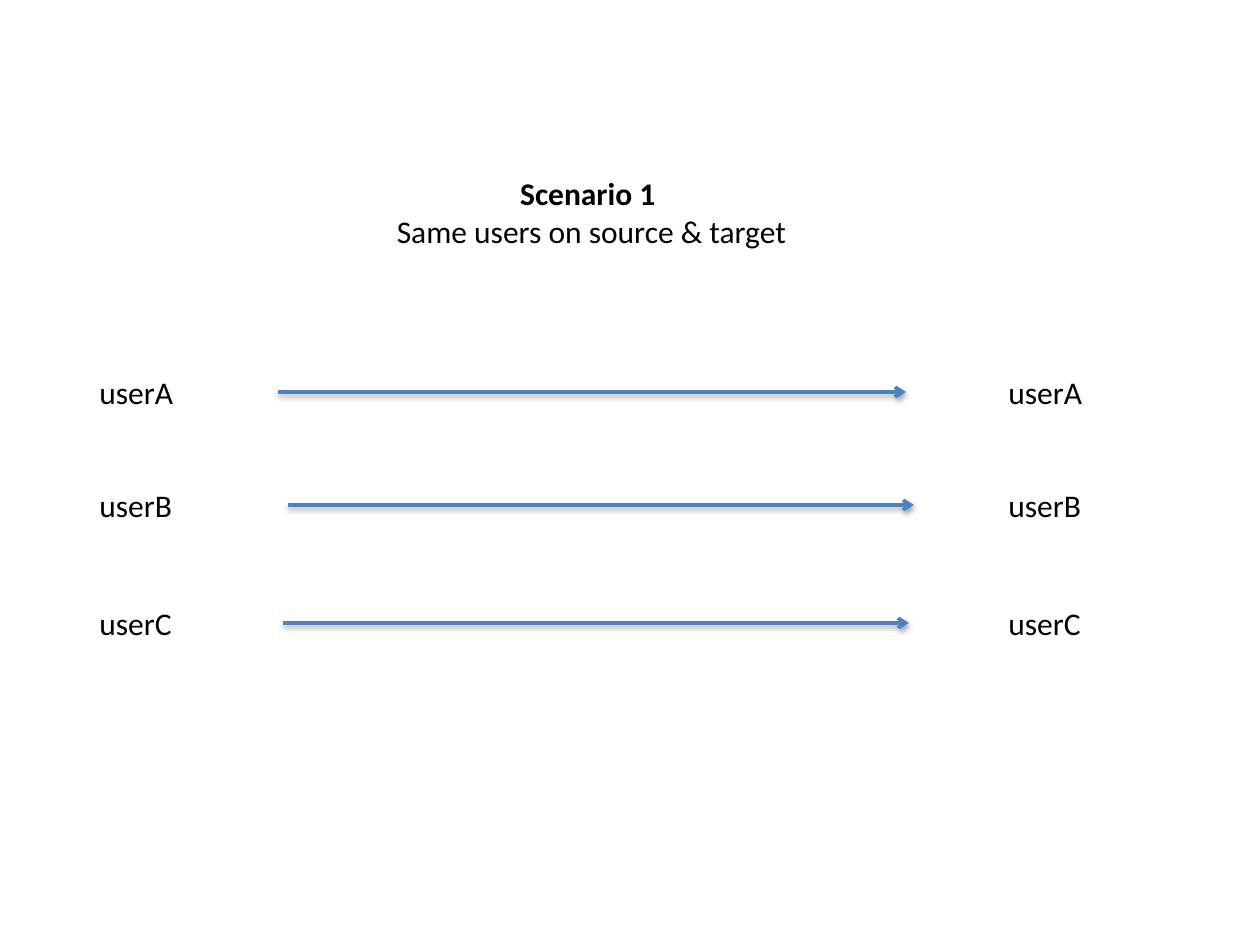
from dataclasses import dataclass

from lxml.etree import SubElement
from pptx import Presentation
from pptx.dml.color import RGBColor
from pptx.enum.shapes import MSO_CONNECTOR
from pptx.enum.text import MSO_AUTO_SIZE, PP_ALIGN
from pptx.oxml.ns import qn
from pptx.util import Emu, Pt

PX = 914400 // 126
SLIDE_SIZE = (1260, 945)

HEADING = ["Scenario 1 ", "Same users on source & target"]
HEADING_BOX = (382, 168, 419, 89)

# user, top of label, start of arrow, end of arrow
USERS = [
    ("userA", 367, 278, 906),
    ("userB", 480, 288, 914),
    ("userC", 598, 283, 909),
]
SOURCE_LEFT, TARGET_LEFT = 87, 996
LABEL_SIZE = (99, 50)


@dataclass(frozen=True)
class Theme:
    font: str = "Calibri"
    size: Pt = Pt(18)
    text: RGBColor = RGBColor(0, 0, 0)
    arrow: RGBColor = RGBColor(0x4F, 0x81, 0xBD)
    arrow_width: Pt = Pt(2)
    shadow: str = "000000"


THEME = Theme()


def px(*lengths):
    return [Emu(length * PX) for length in lengths]


def add_text(slide, lines, box, alignment=PP_ALIGN.LEFT, bold_first=False):
    frame = slide.shapes.add_textbox(*px(*box)).text_frame
    frame.word_wrap = False
    frame.auto_size = MSO_AUTO_SIZE.SHAPE_TO_FIT_TEXT
    frame.text = "\n".join(lines)
    for index, paragraph in enumerate(frame.paragraphs):
        paragraph.alignment = alignment
        font = paragraph.runs[0].font
        font.name, font.size = THEME.font, THEME.size
        font.bold = bold_first and index == 0
        font.color.rgb = THEME.text


def add_arrow(slide, start, end, y):
    arrow = slide.shapes.add_connector(MSO_CONNECTOR.STRAIGHT, *px(start, y, end, y))
    arrow.line.color.rgb = THEME.arrow
    arrow.line.width = THEME.arrow_width
    SubElement(arrow.line._get_or_add_ln(), qn("a:tailEnd"), type="arrow")
    effects = SubElement(arrow._element.spPr, qn("a:effectLst"))
    shadow = SubElement(effects, qn("a:outerShdw"), blurRad="40000", dist="20000",
                        dir="5400000", rotWithShape="0")
    color = SubElement(shadow, qn("a:srgbClr"), val=THEME.shadow)
    SubElement(color, qn("a:alpha"), val="38000")


def main():
    presentation = Presentation()
    presentation.slide_width, presentation.slide_height = px(*SLIDE_SIZE)
    slide = presentation.slides.add_slide(presentation.slide_layouts[6])
    for user, top, start, end in USERS:
        for left in (SOURCE_LEFT, TARGET_LEFT):
            add_text(slide, [user], (left, top, *LABEL_SIZE))
        add_arrow(slide, start, end, top + LABEL_SIZE[1] // 2)
    add_text(slide, HEADING, HEADING_BOX, PP_ALIGN.CENTER, bold_first=True)
    presentation.save("out.pptx")


if __name__ == "__main__":
    main()
